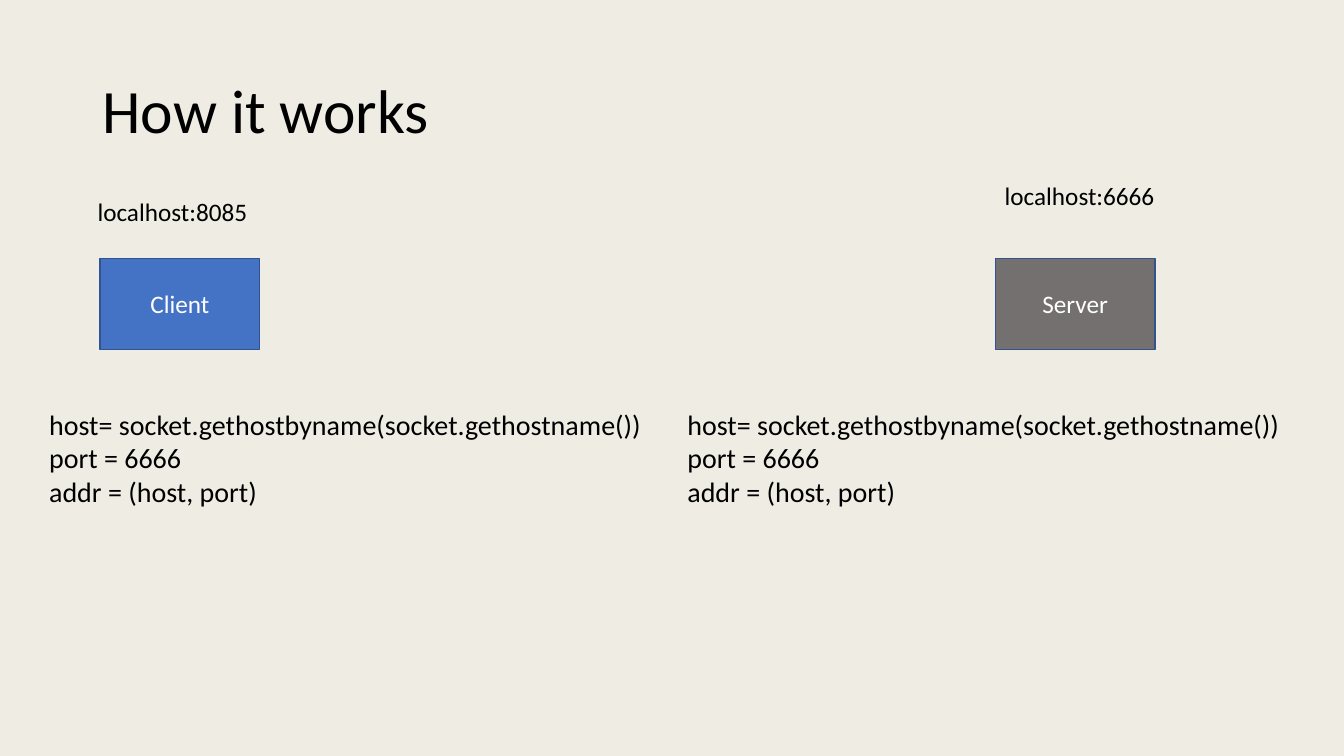
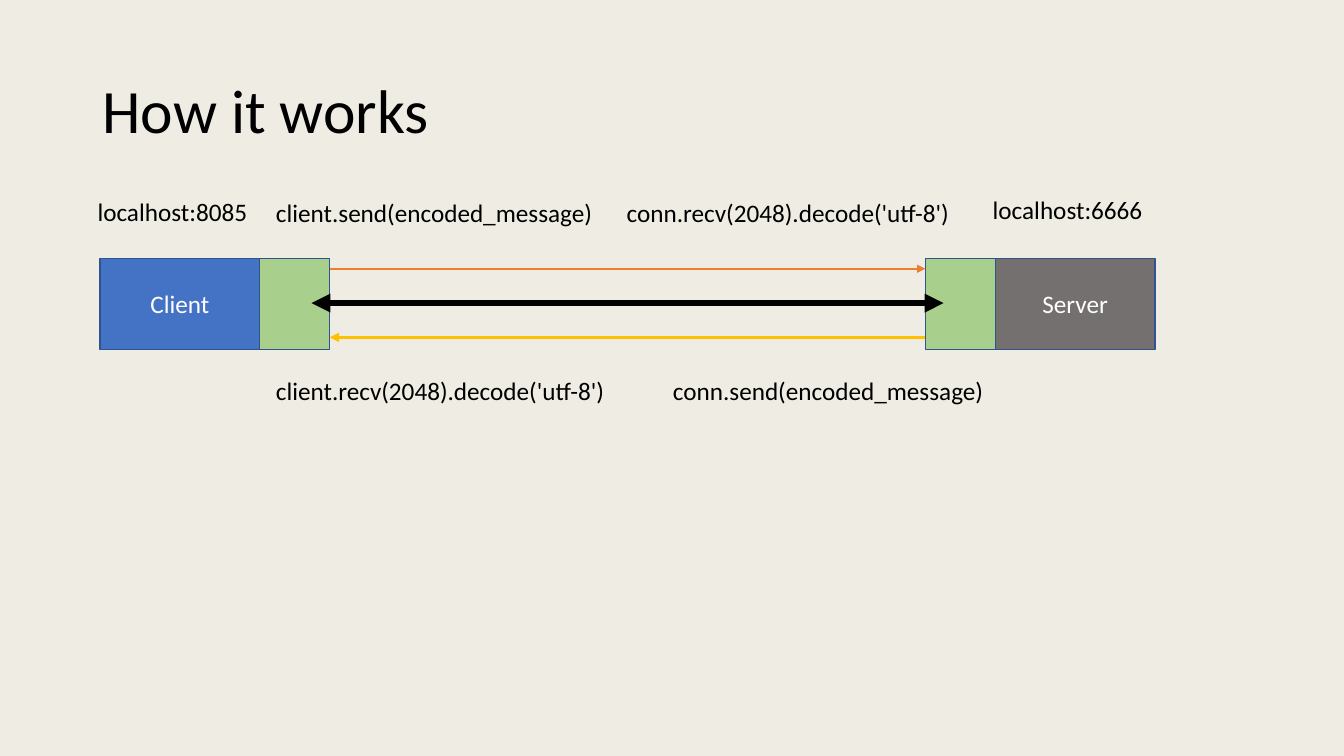
from dataclasses import dataclass

from lxml.etree import SubElement
from pptx import Presentation
from pptx.dml.color import RGBColor
from pptx.enum.shapes import MSO_CONNECTOR, MSO_SHAPE
from pptx.enum.text import MSO_ANCHOR, PP_ALIGN
from pptx.oxml.ns import qn
from pptx.slide import Slide
from pptx.util import Pt

COLORS = {
    "background": "EFEDE3",
    "text": "000000",
    "box_text": "FFFFFF",
    "box_line": "31538F",
    "client": "4472C4",
    "server": "757070",
    "socket": "A8D08C",
    "channel": "000000",
    "request": "ED7D31",
    "reply": "FFC000",
}
FONT = "Calibri"
TITLE = "How it works"

BOX_TOP, BOX_HEIGHT = 184.5, 65
BOX_WIDTH, SOCKET_WIDTH = 114, 50
CLIENT_LEFT, SERVER_LEFT = 71.5, 711
CLIENT_SOCKET_LEFT = CLIENT_LEFT + BOX_WIDTH
SERVER_SOCKET_LEFT = SERVER_LEFT - SOCKET_WIDTH
CLIENT_EDGE = CLIENT_SOCKET_LEFT + SOCKET_WIDTH
CHANNEL_OVERLAP = 13
CHANNEL_Y = BOX_TOP + BOX_HEIGHT / 2 - 0.5
ARROW_OFFSET = 24.5


@dataclass(frozen=True)
class Box:
    left: float
    width: float
    color: str
    text: str = ""


@dataclass(frozen=True)
class Label:
    left: float
    top: float
    width: float
    height: float
    lines: tuple[str, ...]
    size: float = 18
    inset: float = 3.6


@dataclass(frozen=True)
class Arrow:
    start: float
    end: float
    y: float
    color: str
    weight: float
    both_ends: bool = False


CLIENT = Box(CLIENT_LEFT, BOX_WIDTH, "client", "Client")
SERVER = Box(SERVER_LEFT, BOX_WIDTH, "server", "Server")
SOCKETS = (
    Box(CLIENT_SOCKET_LEFT, SOCKET_WIDTH, "socket"),
    Box(SERVER_SOCKET_LEFT, SOCKET_WIDTH, "socket"),
)
CLIENT_ADDRESS = Label(62.6, 133.2, 123.2, 36, ("localhost:8085",), inset=7.2)
ADDRESS_CODE = (
    "host= socket.gethostbyname(socket.gethostname())",
    "port = 6666",
    "addr = (host, port)",
)
SETUP_LABELS = (
    CLIENT_ADDRESS,
    Label(710.6, 121.7, 123.2, 36, ("localhost:6666",), inset=7.2),
    *(Label(left, 283.7, 448.6, 87.1, ADDRESS_CODE, 20, 7.2) for left in (28, 483.9)),
)
SEND_TOP, REPLY_TOP = 137.5, 264.5
MESSAGE_LABELS = (
    CLIENT_ADDRESS,
    Label(702, 135.4, 154.8, 29, ("localhost:6666",)),
    Label(190, SEND_TOP, 248.4, 29, ("client.send(encoded_message)",)),
    Label(440.6, SEND_TOP, 258.5, 29, ("conn.recv(2048).decode('utf-8')",)),
    Label(190, REPLY_TOP, 258.5, 29, ("client.recv(2048).decode('utf-8')",)),
    Label(473.6, REPLY_TOP, 283.7, 29, ("conn.send(encoded_message)",)),
)
ARROWS = (
    Arrow(
        CLIENT_EDGE - CHANNEL_OVERLAP,
        SERVER_SOCKET_LEFT + CHANNEL_OVERLAP,
        CHANNEL_Y,
        "channel",
        4.5,
        True,
    ),
    Arrow(CLIENT_EDGE, SERVER_SOCKET_LEFT, CHANNEL_Y - ARROW_OFFSET, "request", 1.5),
    Arrow(SERVER_SOCKET_LEFT, CLIENT_EDGE, CHANNEL_Y + ARROW_OFFSET, "reply", 2.25),
)


def rgb(name: str) -> RGBColor:
    return RGBColor.from_string(COLORS[name])


def style_paragraph(paragraph, size: float, color: str, align=PP_ALIGN.LEFT) -> None:
    paragraph.alignment = align
    paragraph.font.name = FONT
    paragraph.font.size = Pt(size)
    paragraph.font.color.rgb = rgb(color)


def set_insets(frame, horizontal: float, vertical: float) -> None:
    frame.word_wrap = True
    frame.margin_left = frame.margin_right = Pt(horizontal)
    frame.margin_top = frame.margin_bottom = Pt(vertical)


def add_box(page: Slide, box: Box) -> None:
    shape = page.shapes.add_shape(
        MSO_SHAPE.RECTANGLE, Pt(box.left), Pt(BOX_TOP), Pt(box.width), Pt(BOX_HEIGHT)
    )
    shape.shadow.inherit = False
    shape.fill.solid()
    shape.fill.fore_color.rgb = rgb(box.color)
    shape.line.color.rgb = rgb("box_line")
    shape.line.width = Pt(1)
    if box.text:
        frame = shape.text_frame
        frame.text = box.text
        frame.vertical_anchor = MSO_ANCHOR.MIDDLE
        style_paragraph(frame.paragraphs[0], 18, "box_text", PP_ALIGN.CENTER)


def add_label(page: Slide, label: Label) -> None:
    text_box = page.shapes.add_textbox(
        Pt(label.left), Pt(label.top), Pt(label.width), Pt(label.height)
    )
    frame = text_box.text_frame
    set_insets(frame, 7.2, label.inset)
    frame.text = "\n".join(label.lines)
    for paragraph in frame.paragraphs:
        style_paragraph(paragraph, label.size, "text")


def add_arrow(page: Slide, arrow: Arrow) -> None:
    connector = page.shapes.add_connector(
        MSO_CONNECTOR.STRAIGHT, Pt(arrow.start), Pt(arrow.y), Pt(arrow.end), Pt(arrow.y)
    )
    connector.line.color.rgb = rgb(arrow.color)
    connector.line.width = Pt(arrow.weight)
    line = connector.line._get_or_add_ln()
    if arrow.both_ends:
        SubElement(line, qn("a:headEnd"), type="triangle")
    SubElement(line, qn("a:tailEnd"), type="triangle")
    SubElement(connector._element.spPr, qn("a:effectLst"))


def add_page(
    deck: Presentation,
    boxes: tuple[Box, ...],
    labels: tuple[Label, ...],
    arrows: tuple[Arrow, ...] = (),
) -> None:
    page = deck.slides.add_slide(deck.slide_layouts[5])
    title = page.shapes.title
    title.left, title.top, title.width, title.height = Pt(66), Pt(28.8), Pt(828), Pt(104.4)
    frame = title.text_frame
    set_insets(frame, 7.2, 3.6)
    frame.vertical_anchor = MSO_ANCHOR.MIDDLE
    frame.text = TITLE
    frame.paragraphs[0].line_spacing = 0.9
    style_paragraph(frame.paragraphs[0], 44, "text")
    for box in boxes:
        add_box(page, box)
    for arrow in arrows:
        add_arrow(page, arrow)
    for label in labels:
        add_label(page, label)


def main() -> None:
    deck = Presentation()
    deck.slide_width, deck.slide_height = Pt(960), Pt(540)
    background = deck.slide_master.background.fill
    background.solid()
    background.fore_color.rgb = rgb("background")
    add_page(deck, (CLIENT, SERVER), SETUP_LABELS)
    add_page(deck, (SERVER, CLIENT, *SOCKETS), MESSAGE_LABELS, ARROWS)
    deck.save("out.pptx")


if __name__ == "__main__":
    main()
